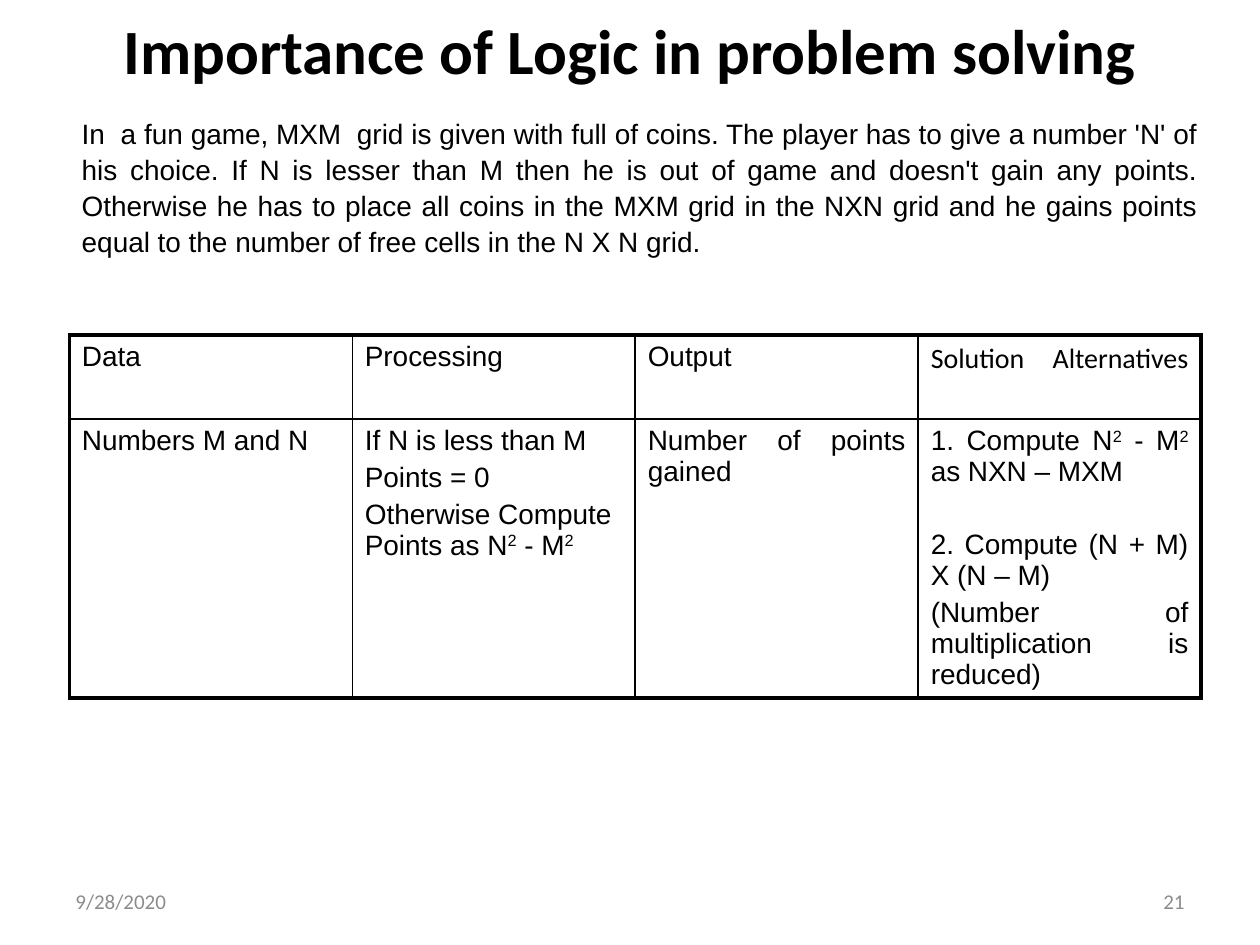
from dataclasses import dataclass

from lxml import etree
from pptx import Presentation
from pptx.dml.color import RGBColor
from pptx.enum.text import MSO_ANCHOR, MSO_AUTO_SIZE, PP_ALIGN
from pptx.oxml.ns import qn
from pptx.util import Pt

TITLE = "Importance of Logic in problem solving"
PROBLEM = (
    "In  a fun game, MXM  grid is given with full of coins. The player has to "
    "give a number 'N' of his choice. If N is lesser than M then he is out of "
    "game and doesn't gain any points. Otherwise he has to place all coins in "
    "the MXM grid in the NXN grid and he gains points equal to the number of "
    "free cells in the N X N grid."
)
DATE, PAGE = "9/28/2020", "21"

# "^" raises the next character; "\v" is a line break
HEADERS = ["Data", "Processing", "Output", "Solution Alternatives\v"]
ANALYSIS = [
    ["Numbers M and N"],
    ["If N is less than M", "Points = 0", "Otherwise Compute Points as N^2 - M^2"],
    ["Number of points gained"],
    ["1. Compute N^2 - M^2 as NXN – MXM", "2. Compute (N + M) X (N – M)",
     "(Number of multiplication is reduced)"],
]
ROWS = [[[header] for header in HEADERS], ANALYSIS]


@dataclass(frozen=True)
class Theme:
    """Colours, fonts, type sizes and line widths."""
    ink: str = "000000"
    muted: str = "8C8C8C"
    heading_font: str = "Calibri"
    body_font: str = "Arial"
    title_size: float = 36
    body_size: float = 16
    footer_size: float = 12
    outer_line: float = 2.25
    inner_line: float = 1


THEME = Theme()
PARAGRAPH_GAP = 3.2
ALTERNATIVE_GAP = 24
TABLE_LEFT, TABLE_TOP = 39.6, 191.5
COLUMN_WIDTH = 161.7
ROW_HEIGHTS = [48, 159.4]
FOOTER_TOP, FOOTER_WIDTH, FOOTER_HEIGHT = 500.5, 168, 28.75


def write(paragraph, text, size, font=THEME.body_font, color=THEME.ink,
          align=PP_ALIGN.LEFT, bold=False):
    """Write formatted text, raising each character that follows a caret."""
    paragraph.alignment = align
    first, *rest = text.split("^")
    pieces = [(first, False)]
    for part in rest:
        pieces += [(part[0], True), (part[1:], False)]
    for words, raised in pieces:
        for index, line in enumerate(words.split("\v")):
            if index:
                paragraph.add_line_break()
            if not line:
                continue
            run = paragraph.add_run()
            run.text = line
            run.font.name, run.font.size, run.font.bold = font, Pt(size), bold
            run.font.color.rgb = RGBColor.from_string(color)
            if raised:
                run.font._element.set("baseline", "30000")


def add_text(slide, box, text, size, anchor=MSO_ANCHOR.MIDDLE, **style):
    """Add a wrapping text box and return it."""
    shape = slide.shapes.add_textbox(*map(Pt, box))
    frame = shape.text_frame
    frame.word_wrap, frame.vertical_anchor = True, anchor
    write(frame.paragraphs[0], text, size, **style)
    return shape


def set_borders(cell, widths):
    """Draw the cell borders from a side-to-width dict."""
    properties = cell._tc.get_or_add_tcPr()
    for side, width in widths.items():
        line = etree.SubElement(properties, qn(f"a:ln{side}"), w=str(Pt(width)))
        fill = etree.SubElement(line, qn("a:solidFill"))
        etree.SubElement(fill, qn("a:srgbClr"), val=THEME.ink)


def add_analysis_table(slide):
    """Add the problem analysis table with a heavy outer frame."""
    last_row, last_col = len(ROWS) - 1, len(HEADERS) - 1
    table = slide.shapes.add_table(
        len(ROWS), len(HEADERS), Pt(TABLE_LEFT), Pt(TABLE_TOP),
        Pt(COLUMN_WIDTH * len(HEADERS)), Pt(sum(ROW_HEIGHTS))).table
    table.first_row = table.horz_banding = False
    for column in table.columns:
        column.width = Pt(COLUMN_WIDTH)
    for r, row in enumerate(ROWS):
        table.rows[r].height = Pt(ROW_HEIGHTS[r])
        for c, lines in enumerate(row):
            cell = table.cell(r, c)
            outer = {"L": c == 0, "R": c == last_col, "T": r == 0, "B": r == last_row}
            set_borders(cell, {side: THEME.outer_line if edge else THEME.inner_line
                               for side, edge in outer.items()})
            cell.fill.background()
            frame = cell.text_frame
            for i, text in enumerate(lines):
                paragraph = frame.add_paragraph() if i else frame.paragraphs[0]
                new_option = i and text[0].isdigit()
                paragraph.space_before = Pt(ALTERNATIVE_GAP if new_option else PARAGRAPH_GAP)
                heading = r == 0 and c == last_col
                write(paragraph, text, THEME.body_size,
                      font=THEME.heading_font if heading else THEME.body_font,
                      align=PP_ALIGN.LEFT if (r, c) == (1, 1) else PP_ALIGN.JUSTIFY)
            if lines[-1].endswith("\v"):
                paragraph.font.size = Pt(THEME.body_size)


def build():
    """Build and save the slide."""
    deck = Presentation()
    deck.slide_width, deck.slide_height = Pt(720), Pt(540)
    slide = deck.slides.add_slide(deck.slide_layouts[5])

    title = slide.shapes.title
    title.left, title.top, title.width, title.height = map(Pt, (36, 5, 648, 46))
    title.text_frame.auto_size = MSO_AUTO_SIZE.NONE
    title.text_frame.vertical_anchor = MSO_ANCHOR.MIDDLE
    write(title.text_frame.paragraphs[0], TITLE, THEME.title_size,
          font=THEME.heading_font, align=PP_ALIGN.CENTER, bold=True)

    add_analysis_table(slide)
    problem = add_text(slide, (39.6, 62, 652, 85), PROBLEM, THEME.body_size,
                       anchor=MSO_ANCHOR.TOP, align=PP_ALIGN.JUSTIFY)
    problem.text_frame.paragraphs[0].line_spacing = 1.07

    for text, left, align in [(DATE, 36, PP_ALIGN.LEFT),
                              (PAGE, 684 - FOOTER_WIDTH, PP_ALIGN.RIGHT)]:
        add_text(slide, (left, FOOTER_TOP, FOOTER_WIDTH, FOOTER_HEIGHT), text,
                 THEME.footer_size, font=THEME.heading_font, color=THEME.muted,
                 align=align)
    deck.save("out.pptx")


build()
